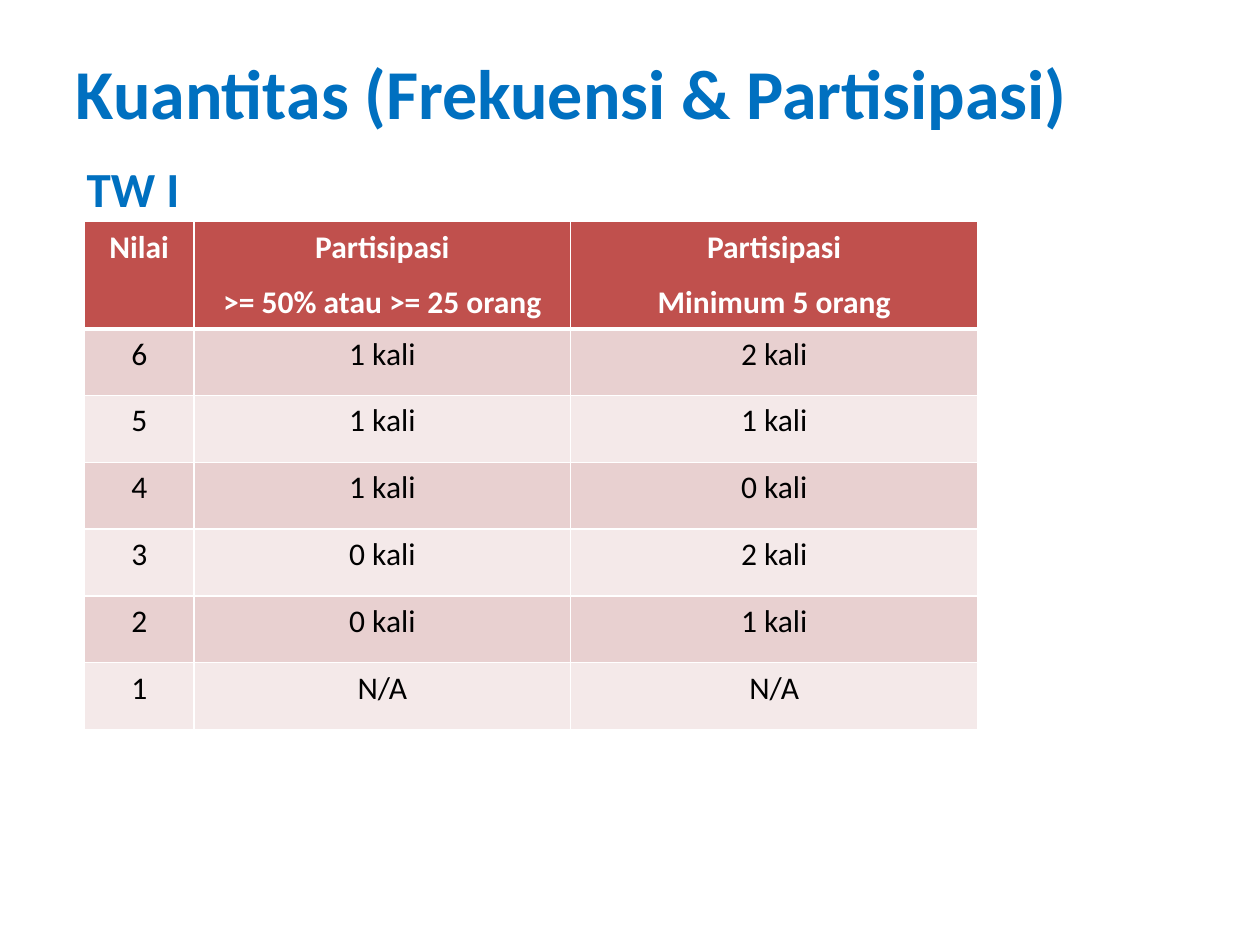
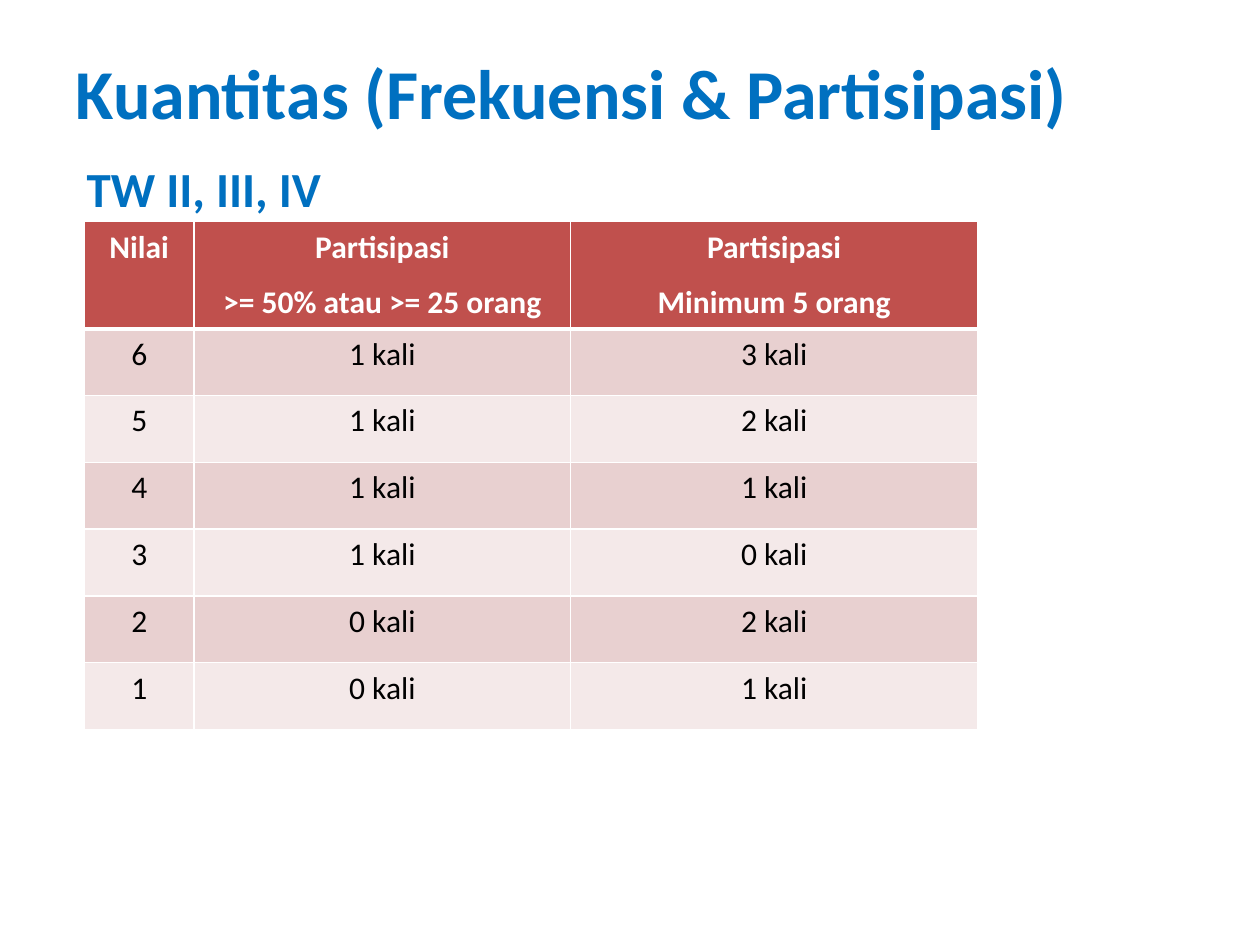
"""Builds two slides of scoring tables for frequency and participation."""
from lxml.etree import SubElement
from pptx import Presentation
from pptx.dml.color import RGBColor
from pptx.enum.text import MSO_ANCHOR, MSO_AUTO_SIZE, PP_ALIGN
from pptx.oxml.ns import qn
from pptx.util import Inches, Pt

COLORS = {"blue": "0070C0", "header": "C0504D", "odd": "E8D0D0",
          "even": "F4E9E9", "white": "FFFFFF", "black": "000000"}
FONT = "Calibri"
TITLE = "Kuantitas (Frekuensi & Partisipasi)"
HEADER = ["Nilai", "Partisipasi\n>= 50% atau >= 25 orang", "Partisipasi\nMinimum 5 orang"]
QUARTERS = {
    "TW I": [("6", "1 kali", "2 kali"), ("5", "1 kali", "1 kali"),
             ("4", "1 kali", "0 kali"), ("3", "0 kali", "2 kali"),
             ("2", "0 kali", "1 kali"), ("1", "N/A", "N/A")],
    "TW II, III, IV": [("6", "1 kali", "3 kali"), ("5", "1 kali", "2 kali"),
                       ("4", "1 kali", "1 kali"), ("3", "1 kali", "0 kali"),
                       ("2", "0 kali", "2 kali"), ("1", "0 kali", "1 kali")],
}

prs = Presentation()
prs.slide_width, prs.slide_height = Inches(10), Inches(7.5)
unit = prs.slide_width // 100
col_widths = [8.7, 29.9, 32.3]
row_heights = [8.5] + [5.3] * 6


def add_text(p, text, size, color, bold, align):
    p.alignment = align
    r = p.add_run()
    r.text = text
    r.font.name, r.font.size, r.font.bold = FONT, Pt(size), bold
    r.font.color.rgb = RGBColor.from_string(COLORS[color])


def add_heading(sp, left, top, text, size):
    sp.left, sp.top = int(left * unit), int(top * unit)
    sp.width, sp.height = 90 * unit, int(8.5 * unit)
    tf = sp.text_frame
    tf.word_wrap = True
    tf.auto_size = MSO_AUTO_SIZE.NONE
    tf.vertical_anchor = MSO_ANCHOR.MIDDLE
    add_text(tf.paragraphs[0], text, size, "blue", True, PP_ALIGN.LEFT)


for quarter, scores in QUARTERS.items():
    slide = prs.slides.add_slide(prs.slide_layouts[5])
    add_heading(slide.shapes.title, 5, 3, TITLE, 40)

    rows = [HEADER] + scores
    table = slide.shapes.add_table(
        len(rows), len(HEADER), int(6.7 * unit), int(17.6 * unit),
        int(sum(col_widths) * unit), int(sum(row_heights) * unit)).table
    for column, width in zip(table.columns, col_widths):
        column.width = int(width * unit)
    for i, values in enumerate(rows):
        table.rows[i].height = int(row_heights[i] * unit)
        is_header = i == 0
        fill = "header" if is_header else "odd" if i % 2 else "even"
        borders = {"lnL": 1, "lnR": 1, "lnT": 3 if i == 1 else 1, "lnB": 3 if is_header else 1}
        for j, value in enumerate(values):
            cell = table.cell(i, j)
            tcPr = cell._tc.get_or_add_tcPr()
            for side, points in borders.items():
                ln = SubElement(tcPr, qn(f"a:{side}"), w=str(Pt(points)))
                SubElement(SubElement(ln, qn("a:solidFill")), qn("a:srgbClr"), val=COLORS["white"])
            cell.fill.solid()
            cell.fill.fore_color.rgb = RGBColor.from_string(COLORS[fill])
            tf = cell.text_frame
            for k, line in enumerate(value.split("\n")):
                p = tf.add_paragraph() if k else tf.paragraphs[0]
                p.space_before, p.space_after = Pt(5 if k else 0), Pt(5)
                add_text(p, line, 18, "white" if is_header else "black", is_header, PP_ALIGN.CENTER)

    add_heading(slide.shapes.add_textbox(0, 0, 0, 0), 5.9, 10.7, quarter, 28)

prs.save("out.pptx")
